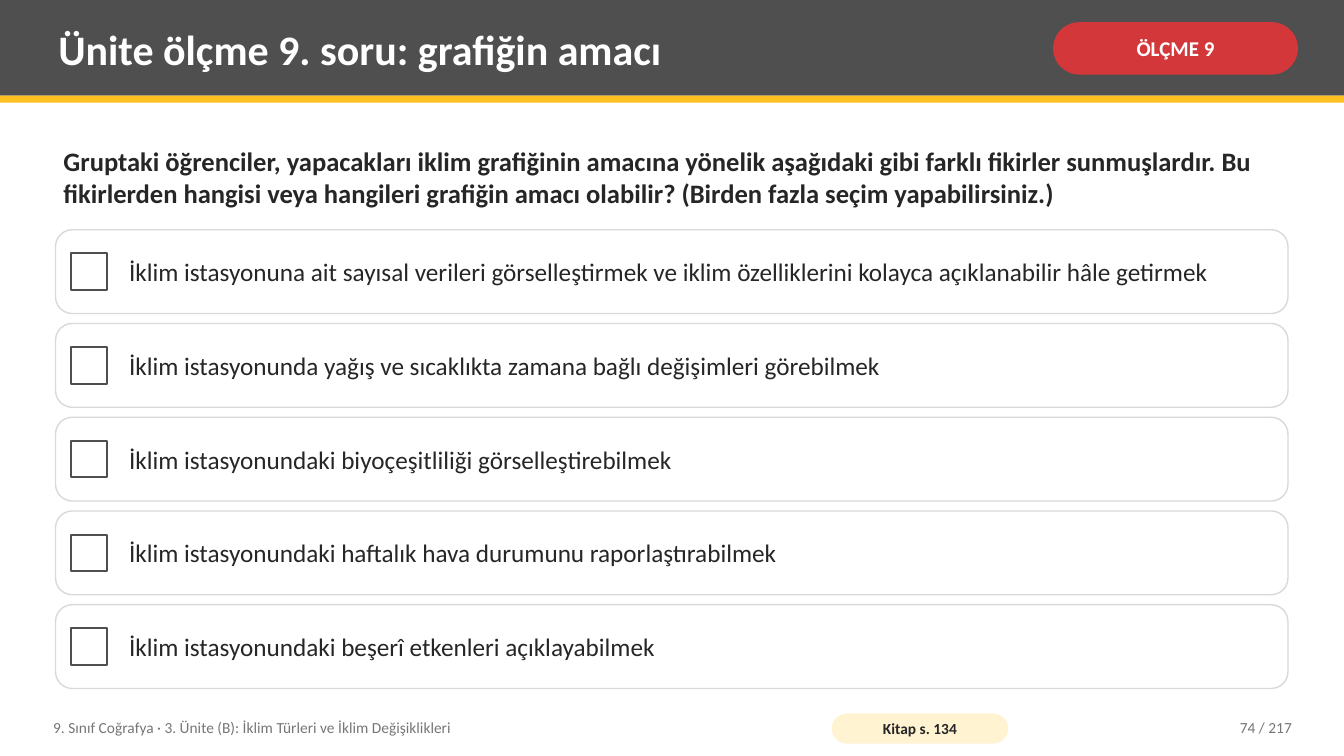
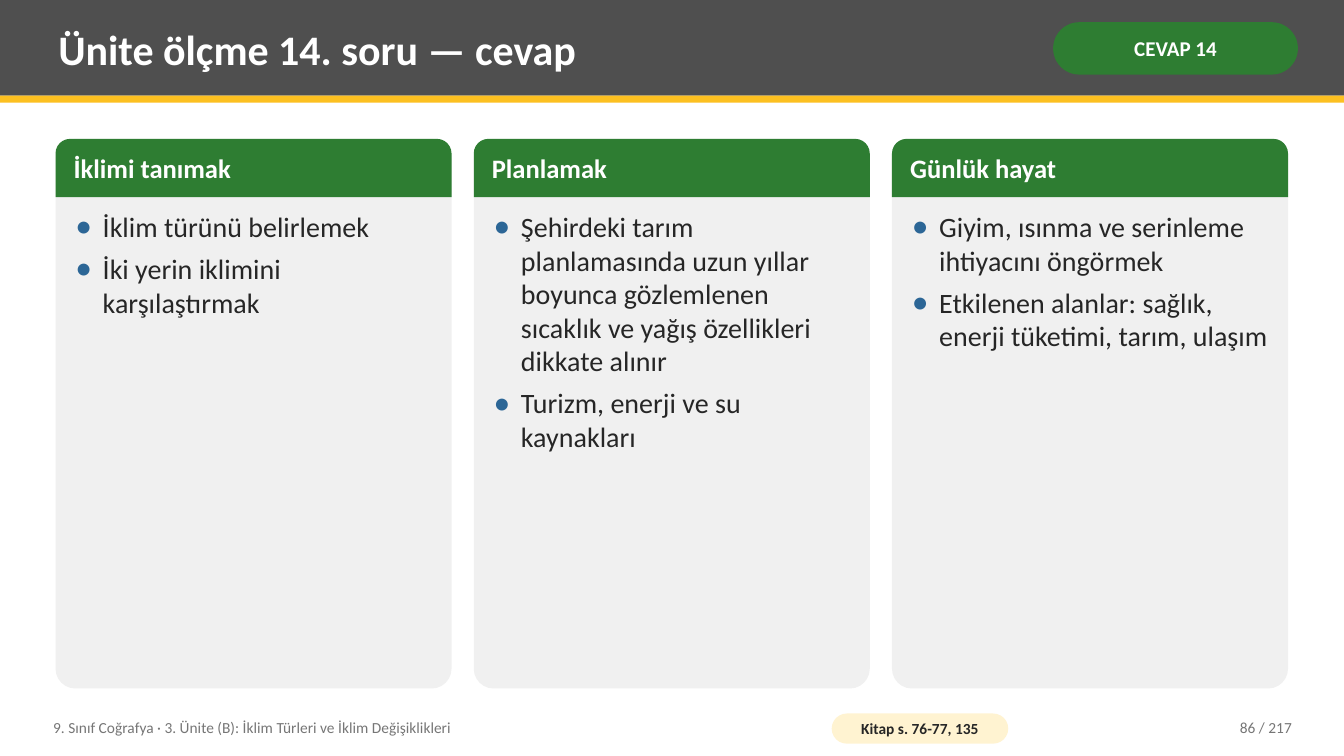
import lxml.etree
import pptx
import pptx.dml.color
import pptx.enum.shapes
import pptx.enum.text
import pptx.oxml.ns
import pptx.util

Cm = pptx.util.Cm
Pt = pptx.util.Pt
RGBColor = pptx.dml.color.RGBColor
MSO_SHAPE = pptx.enum.shapes.MSO_SHAPE
PP_ALIGN = pptx.enum.text.PP_ALIGN
MSO_ANCHOR = pptx.enum.text.MSO_ANCHOR
qn = pptx.oxml.ns.qn

DARK = RGBColor(0x4F, 0x4F, 0x4F)
YELLOW = RGBColor(0xFC, 0xC0, 0x21)
CREAM = RGBColor(0xFF, 0xF3, 0xD1)
RED = RGBColor(0xD3, 0x37, 0x3A)
GREEN = RGBColor(0x2E, 0x7D, 0x32)
BLUE = RGBColor(0x2C, 0x66, 0x96)
WHITE = RGBColor(0xFF, 0xFF, 0xFF)
INK = RGBColor(0x26, 0x26, 0x26)
MUTED = RGBColor(0x76, 0x76, 0x76)
BORDER = RGBColor(0xD9, 0xD9, 0xD9)
PANEL = RGBColor(0xF0, 0xF0, 0xF0)

FONT = "Calibri"
INSETS = (0.2, 0.1, 0.2, 0.1)
TITLE = {"size": Pt(30), "bold": True, "color": WHITE}
TAG = {"size": Pt(15), "bold": True, "color": WHITE}
HEADING = {"size": Pt(19), "bold": True, "color": WHITE}
QUESTION = {"size": Pt(19), "bold": True, "color": INK}
OPTION = {"size": Pt(18), "bold": False, "color": INK}
POINT = {"size": Pt(20), "bold": False, "color": INK}
FOOTER = {"size": Pt(11), "bold": False, "color": MUTED}
SOURCE = {"size": Pt(11), "bold": True, "color": INK}


def box(s, kind, at, fill, line=None, width=1, adj=()):
    sp = s.shapes.add_shape(kind, *[Cm(v) for v in at])
    sp.shadow.inherit = False
    sp.fill.solid()
    sp.fill.fore_color.rgb = fill
    if line is None:
        sp.line.fill.background()
    else:
        sp.line.color.rgb = line
        sp.line.width = Pt(width)
    for i, value in enumerate(adj):
        sp.adjustments[i] = value
    return sp


def write(sp, lines, style, align=PP_ALIGN.LEFT, anchor=MSO_ANCHOR.MIDDLE, insets=INSETS, bullet=None):
    tf = sp.text_frame
    tf.word_wrap = True
    tf.auto_size = pptx.enum.text.MSO_AUTO_SIZE.NONE
    tf.vertical_anchor = anchor
    for side, value in zip(("left", "top", "right", "bottom"), insets):
        setattr(tf, "margin_" + side, Cm(value))
    for i, line in enumerate(lines):
        p = tf.paragraphs[0] if i == 0 else tf.add_paragraph()
        p.alignment = align
        if i < len(lines) - 1:
            p.space_after = Pt(6)
        if bullet is not None:
            pPr = p._p.get_or_add_pPr()
            pPr.set("marL", str(Cm(0.69)))
            pPr.set("indent", str(-Cm(0.69)))
            clr = lxml.etree.SubElement(pPr, qn("a:buClr"))
            lxml.etree.SubElement(clr, qn("a:srgbClr"), val=str(bullet))
            lxml.etree.SubElement(pPr, qn("a:buSzPct"), val="120000")
            lxml.etree.SubElement(pPr, qn("a:buFont"), typeface=FONT)
            lxml.etree.SubElement(pPr, qn("a:buChar"), char="•")
        r = p.add_run()
        r.text = line
        r.font.name = FONT
        for key, value in style.items():
            if key == "color":
                r.font.color.rgb = value
            else:
                setattr(r.font, key, value)


prs = pptx.Presentation()
prs.slide_width = Cm(33.87)
prs.slide_height = Cm(19.05)
layout = prs.slide_layouts[5]

LEFT = 1.4
WIDTH = 31.06
BOTTOM = 17.35

pages = [
    ("Ünite ölçme 9. soru: grafiğin amacı", "ÖLÇME 9", RED, "Kitap s. 134", "74 / 217"),
    ("Ünite ölçme 14. soru — cevap", "CEVAP 14", GREEN, "Kitap s. 76-77, 135", "86 / 217"),
]
slides = []
for title, tag, color, source, number in pages:
    s = prs.slides.add_slide(layout)
    slides.append(s)
    if len(slides) == 1:
        band = box(s, MSO_SHAPE.RECTANGLE, (0, 0, 33.87, 2.41), DARK)
        stripe = box(s, MSO_SHAPE.RECTANGLE, (0, 2.41, 33.87, 0.18), YELLOW)
        course = s.shapes.add_textbox(Cm(1.14), Cm(17.88), Cm(19.3), Cm(0.91))
        write(course, ["9. Sınıf Coğrafya · 3. Ünite (B): İklim Türleri ve İklim Değişiklikleri"], FOOTER)
        for sp in (band, stripe, course):
            layout.shapes._spTree.append(sp._element)
    sp = s.shapes.title
    sp.left, sp.top, sp.width, sp.height = Cm(1.27), Cm(0.18), Cm(24.77), Cm(2.08)
    write(sp, [title], TITLE)
    sp = box(s, MSO_SHAPE.ROUNDED_RECTANGLE, (26.54, 0.56, 6.17, 1.32), color, adj=[0.5])
    write(sp, [tag], TAG, PP_ALIGN.CENTER, insets=(0.13, 0.05, 0.13, 0.05))
    sp = box(s, MSO_SHAPE.ROUNDED_RECTANGLE, (20.96, 17.98, 4.45, 0.76), CREAM, adj=[0.5])
    write(sp, [source], SOURCE, PP_ALIGN.CENTER, insets=(0.1, 0, 0.1, 0))
    sp = s.shapes.add_textbox(Cm(28.7), Cm(17.88), Cm(4.06), Cm(0.91))
    write(sp, [number], FOOTER, PP_ALIGN.RIGHT)

s = slides[0]
sp = s.shapes.add_textbox(Cm(LEFT), Cm(3.25), Cm(WIDTH), Cm(2.41))
write(sp, [
    "Gruptaki öğrenciler, yapacakları iklim grafiğinin amacına yönelik aşağıdaki gibi farklı fikirler "
    "sunmuşlardır. Bu fikirlerden hangisi veya hangileri grafiğin amacı olabilir? "
    "(Birden fazla seçim yapabilirsiniz.)"
], QUESTION)
options = [
    "İklim istasyonuna ait sayısal verileri görselleştirmek ve iklim özelliklerini kolayca açıklanabilir hâle getirmek",
    "İklim istasyonunda yağış ve sıcaklıkta zamana bağlı değişimleri görebilmek",
    "İklim istasyonundaki biyoçeşitliliği görselleştirebilmek",
    "İklim istasyonundaki haftalık hava durumunu raporlaştırabilmek",
    "İklim istasyonundaki beşerî etkenleri açıklayabilmek",
]
first = 5.79
gap = 0.25
height = (BOTTOM - first - gap * (len(options) - 1)) / len(options)
check = 0.92
for i, option in enumerate(options):
    top = first + i * (height + gap)
    sp = box(s, MSO_SHAPE.ROUNDED_RECTANGLE, (LEFT, top, WIDTH, height), WHITE, BORDER, adj=[0.2])
    write(sp, [option], OPTION, insets=(1.73, 0.1, 0.47, 0.1))
    box(s, MSO_SHAPE.RECTANGLE, (LEFT + 0.38, top + (height - check) / 2, check, check), WHITE, DARK, 1.5)

s = slides[1]
columns = [
    ("İklimi tanımak", ["İklim türünü belirlemek", "İki yerin iklimini karşılaştırmak"]),
    ("Planlamak", [
        "Şehirdeki tarım planlamasında uzun yıllar boyunca gözlemlenen sıcaklık ve yağış özellikleri dikkate alınır",
        "Turizm, enerji ve su kaynakları",
    ]),
    ("Günlük hayat", [
        "Giyim, ısınma ve serinleme ihtiyacını öngörmek",
        "Etkilenen alanlar: sağlık, enerji tüketimi, tarım, ulaşım",
    ]),
]
top = 3.5
gap = 0.56
width = (WIDTH - gap * (len(columns) - 1)) / len(columns)
for i, (heading, points) in enumerate(columns):
    x = LEFT + i * (width + gap)
    box(s, MSO_SHAPE.ROUNDED_RECTANGLE, (x, top, width, BOTTOM - top), PANEL, adj=[0.05])
    sp = box(s, MSO_SHAPE.ROUND_2_SAME_RECTANGLE, (x, top, width, 1.47), GREEN, adj=[0.25, 0])
    write(sp, [heading], HEADING, insets=(0.35, 0.1, 0.2, 0.2))
    sp = s.shapes.add_textbox(Cm(x + 0.3), Cm(5.18), Cm(width - 0.6), Cm(11.96))
    write(sp, points, POINT, anchor=MSO_ANCHOR.TOP, bullet=BLUE)

prs.save("out.pptx")
